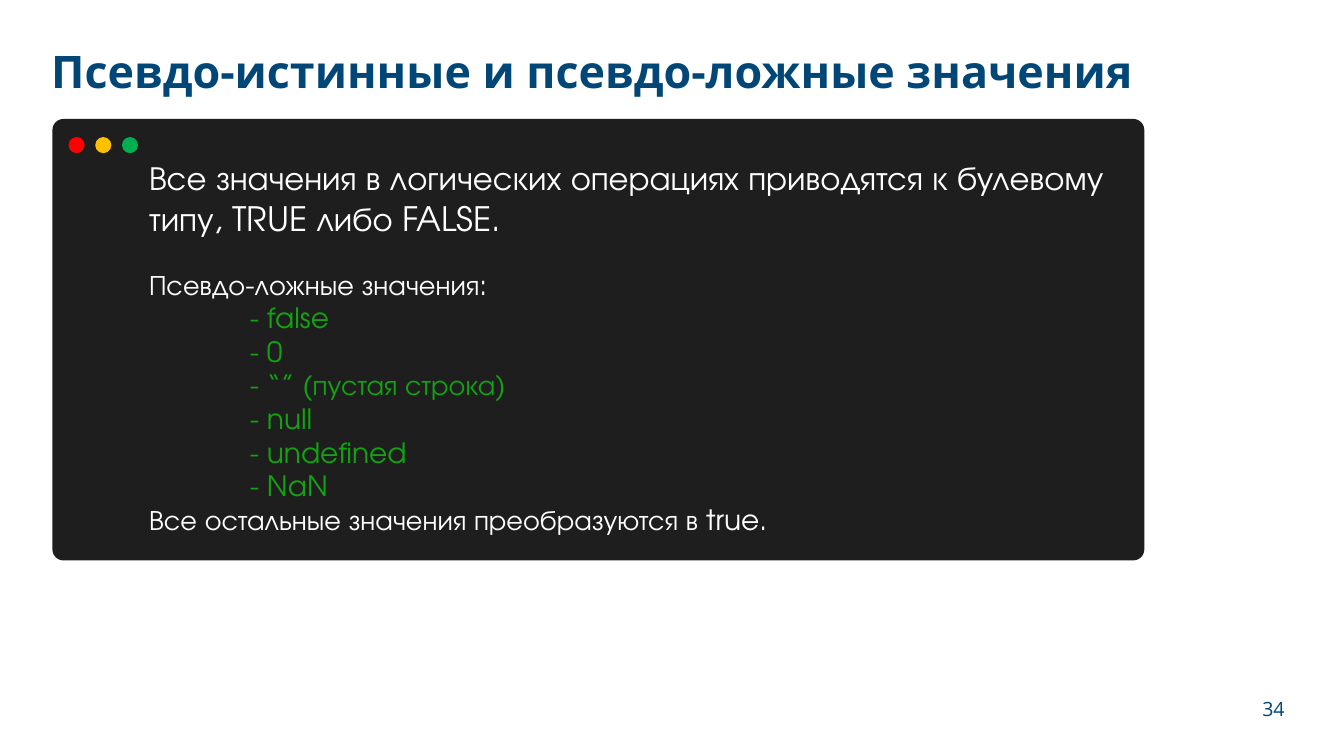
"""Build the slide on truthy and falsy values."""
import pptx
import pptx.dml.color
import pptx.enum.shapes
import pptx.enum.text
import pptx.util

Inches = pptx.util.Inches
RGBColor = pptx.dml.color.RGBColor
MSO_SHAPE = pptx.enum.shapes.MSO_SHAPE
MSO_ANCHOR = pptx.enum.text.MSO_ANCHOR
PP_ALIGN = pptx.enum.text.PP_ALIGN

NAVY = RGBColor(0x00, 0x47, 0x77)
WHITE = RGBColor(0xFF, 0xFF, 0xFF)
CODE_GREEN = RGBColor(0x12, 0xA2, 0x12)
EDITOR_BLACK = RGBColor(0x1E, 0x1E, 0x1E)
BUTTON_COLORS = [
    RGBColor(0xFF, 0x00, 0x00),
    RGBColor(0xFF, 0xC0, 0x00),
    RGBColor(0x00, 0xB0, 0x50),
]
HEADING_FONT = "Open Sans"
EDITOR_FONT = "TeX Gyre Adventor"

TITLE = "Псевдо-истинные и псевдо-ложные значения"
PAGE_NUMBER = "34"
RULE = "Все значения в логических операциях приводятся к булевому типу, TRUE либо FALSE."
FALSY_HEADING = "Псевдо-ложные значения:"
FALSY_VALUES = ["false", "0", "“” (пустая строка)", "null", "undefined", "NaN"]
REMAINDER = "Все остальные значения преобразуются в true."

BUTTON_LEFT, BUTTON_TOP, BUTTON_SIZE, BUTTON_STEP = 0.68, 1.36, 0.16, 0.265


def add_shape(slide, preset, left, top, width, height, color):
    shape = slide.shapes.add_shape(
        preset, Inches(left), Inches(top), Inches(width), Inches(height))
    shape.shadow.inherit = False
    shape.fill.solid()
    shape.fill.fore_color.rgb = color
    shape.line.fill.background()
    return shape


def add_text(slide, box, lines, font, size, anchor=MSO_ANCHOR.TOP):
    frame = slide.shapes.add_textbox(*map(Inches, box)).text_frame
    frame.word_wrap = True
    frame.vertical_anchor = anchor
    for index, (text, color, indent) in enumerate(lines):
        paragraph = frame.paragraphs[0] if index == 0 else frame.add_paragraph()
        paragraph.text = text
        if indent:
            paragraph._p.get_or_add_pPr().set("marL", str(Inches(indent)))
        paragraph.font.name = font
        paragraph.font.size = pptx.util.Pt(size)
        paragraph.font.color.rgb = color
    return frame.paragraphs[0]


def main():
    deck = pptx.Presentation()
    deck.slide_width, deck.slide_height = Inches(13.33), Inches(7.5)
    slide = deck.slides.add_slide(deck.slide_layouts[6])

    title = add_text(slide, (0.41, 0.39, 11.08, 0.68), [(TITLE, NAVY, 0)],
                     HEADING_FONT, 32, MSO_ANCHOR.MIDDLE)
    title.font.bold = True
    title.line_spacing = 0.9

    page_number = add_text(slide, (12.05, 6.84, 0.79, 0.39), [(PAGE_NUMBER, NAVY, 0)],
                           HEADING_FONT, 14, MSO_ANCHOR.MIDDLE)
    page_number.alignment = PP_ALIGN.RIGHT

    editor = add_shape(slide, MSO_SHAPE.ROUNDED_RECTANGLE,
                       0.52, 1.18, 10.83, 4.38, EDITOR_BLACK)
    editor.adjustments[0] = 0.025
    for index, color in enumerate(BUTTON_COLORS):
        add_shape(slide, MSO_SHAPE.FLOWCHART_CONNECTOR,
                  BUTTON_LEFT + index * BUTTON_STEP, BUTTON_TOP,
                  BUTTON_SIZE, BUTTON_SIZE, color)

    add_text(slide, (1.38, 1.51, 10.11, 0.91), [(RULE, WHITE, 0)], EDITOR_FONT, 24)
    falsy_lines = [(f"- {value}", CODE_GREEN, 1) for value in FALSY_VALUES]
    add_text(slide, (1.38, 2.6, 9.5, 2.79),
             [(FALSY_HEADING, WHITE, 0), *falsy_lines, (REMAINDER, WHITE, 0)],
             EDITOR_FONT, 20)

    deck.save("out.pptx")


if __name__ == "__main__":
    main()
